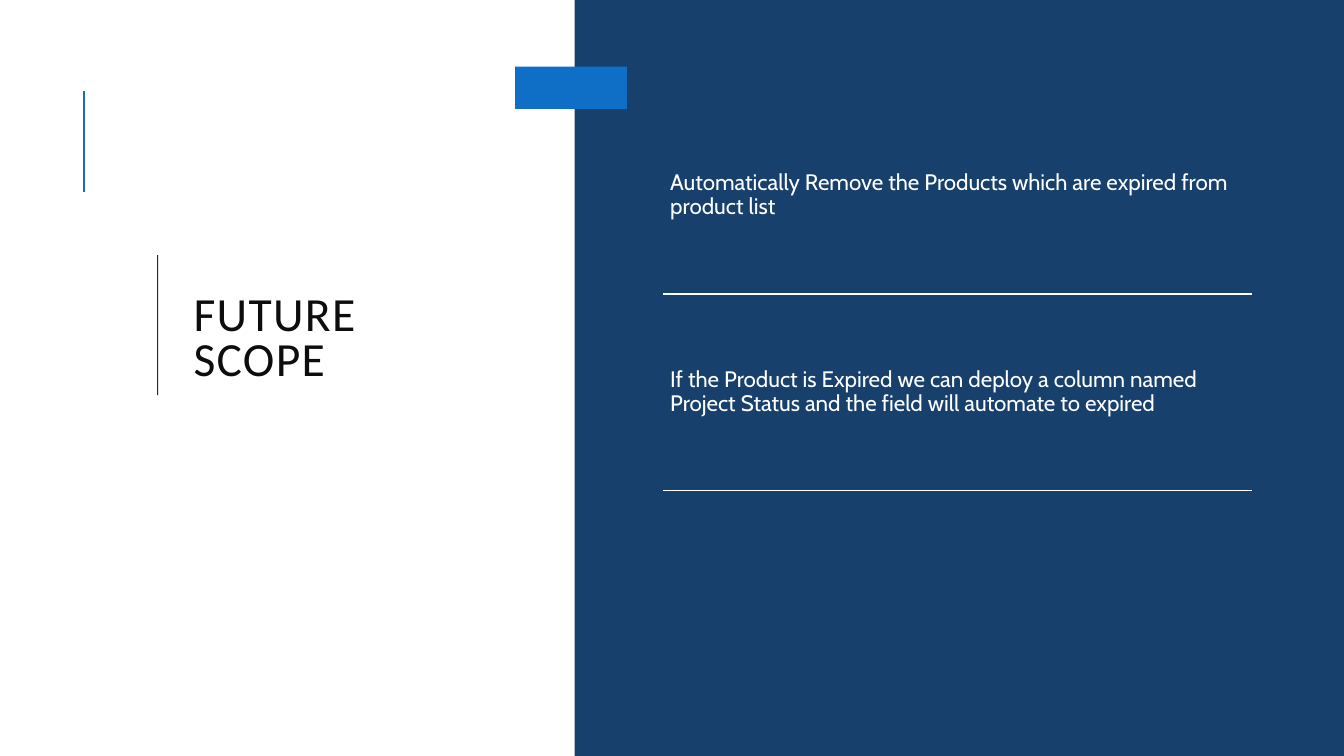
from dataclasses import dataclass

from lxml.etree import SubElement
from pptx import Presentation
from pptx.dml.color import RGBColor
from pptx.enum.shapes import MSO_CONNECTOR, MSO_SHAPE
from pptx.enum.text import MSO_ANCHOR, MSO_AUTO_SIZE, PP_ALIGN
from pptx.oxml.ns import qn
from pptx.shapes.placeholder import SlidePlaceholder
from pptx.slide import Slide
from pptx.util import Pt


@dataclass(frozen=True)
class Theme:
    accent: str = "0F6FC6"
    panel: str = "17406D"
    rule: str = "24282B"
    title: str = "0D0D0D"
    light: str = "FFFFFF"
    title_font: str = "Calibri"
    body_font: str = "Cabin"
    title_size: float = 34
    body_size: float = 16


@dataclass(frozen=True)
class Frame:
    left: float
    top: float
    width: float
    height: float


@dataclass(frozen=True)
class Block:
    frame: Frame
    color: str


@dataclass(frozen=True)
class Line:
    start: tuple[float, float]
    end: tuple[float, float]
    color: str
    weight: float


@dataclass(frozen=True)
class TextStyle:
    font: str
    size: float
    color: str
    line_spacing: float
    anchor: MSO_ANCHOR
    inset: float
    tracking: int = 0


THEME = Theme()
TITLE_STYLE = TextStyle(THEME.title_font, THEME.title_size, THEME.title, 0.8,
                        MSO_ANCHOR.BOTTOM, 0, 100)
ITEM_STYLE = TextStyle(THEME.body_font, THEME.body_size, THEME.light, 0.9,
                       MSO_ANCHOR.MIDDLE, 5)
TITLE_FRAME = Frame(138.24, 149.04, 288, 126.72)
FIRST_ITEM = Frame(473.76, 69.4, 420.48, 140.5)
BLOCKS = (
    Block(Frame(410.4, 0, 549.6, 540), THEME.panel),
    Block(Frame(112.32, 182.16, 0.72, 100.08), THEME.rule),
    Block(Frame(367.92, 47.52, 79.92, 30.24), THEME.accent),
)
TITLE = "FUTURE\vSCOPE"
ITEMS = (
    "Automatically Remove the Products which are expired from product list",
    "If the Product is Expired we can deploy a column named Project Status "
    "and the field will automate to expired",
)


def apply(target: object, values: dict[str, object]) -> None:
    for name, value in values.items():
        setattr(target, name, value)


def draw_block(page: Slide, block: Block) -> None:
    frame = block.frame
    shape = page.shapes.add_shape(MSO_SHAPE.RECTANGLE, Pt(frame.left), Pt(frame.top),
                                  Pt(frame.width), Pt(frame.height))
    shape.shadow.inherit = False
    shape.fill.solid()
    shape.fill.fore_color.rgb = RGBColor.from_string(block.color)
    shape.line.fill.background()


def draw_line(page: Slide, line: Line) -> None:
    connector = page.shapes.add_connector(
        MSO_CONNECTOR.STRAIGHT, *(Pt(value) for value in line.start + line.end))
    connector.line.color.rgb = RGBColor.from_string(line.color)
    connector.line.width = Pt(line.weight)
    SubElement(connector.element.spPr, qn("a:effectLst"))


def fill_placeholder(box: SlidePlaceholder, frame: Frame, text: str,
                     style: TextStyle) -> None:
    box.element.getparent().append(box.element)
    apply(box, {"left": Pt(frame.left), "top": Pt(frame.top),
                "width": Pt(frame.width), "height": Pt(frame.height)})
    body = box.text_frame
    inset = Pt(style.inset)
    apply(body, {"text": text, "word_wrap": True, "auto_size": MSO_AUTO_SIZE.NONE,
                 "vertical_anchor": style.anchor, "margin_left": inset,
                 "margin_top": inset, "margin_right": inset, "margin_bottom": inset})
    para = body.paragraphs[0]
    apply(para, {"alignment": PP_ALIGN.LEFT, "line_spacing": style.line_spacing,
                 "space_before": Pt(0), "space_after": Pt(0)})
    properties = para._p.get_or_add_pPr()
    properties.set("marL", "0")
    properties.set("indent", "0")
    SubElement(properties, qn("a:buNone"))
    for span in para.runs:
        apply(span.font, {"name": style.font, "size": Pt(style.size), "bold": False})
        span.font.color.rgb = RGBColor.from_string(style.color)
        span._r.get_or_add_rPr().set("spc", str(style.tracking))


def main() -> None:
    deck = Presentation()
    apply(deck, {"slide_width": Pt(960), "slide_height": Pt(540)})
    page = deck.slides.add_slide(deck.slide_layouts.get_by_name("Two Content"))
    title, *item_boxes = page.placeholders

    draw_line(page, Line((59.76, 136.8), (59.76, 64.8), THEME.accent, 1.5))
    for block in BLOCKS:
        draw_block(page, block)
    fill_placeholder(title, TITLE_FRAME, TITLE, TITLE_STYLE)

    left, width, height = FIRST_ITEM.left, FIRST_ITEM.width, FIRST_ITEM.height
    for index, (box, text) in enumerate(zip(item_boxes, ITEMS)):
        top = FIRST_ITEM.top + index * height
        bottom = top + height
        fill_placeholder(box, Frame(left, top, width, height), text, ITEM_STYLE)
        draw_line(page, Line((left, bottom), (left + width, bottom), THEME.light, 1.25))

    deck.save("out.pptx")


if __name__ == "__main__":
    main()
